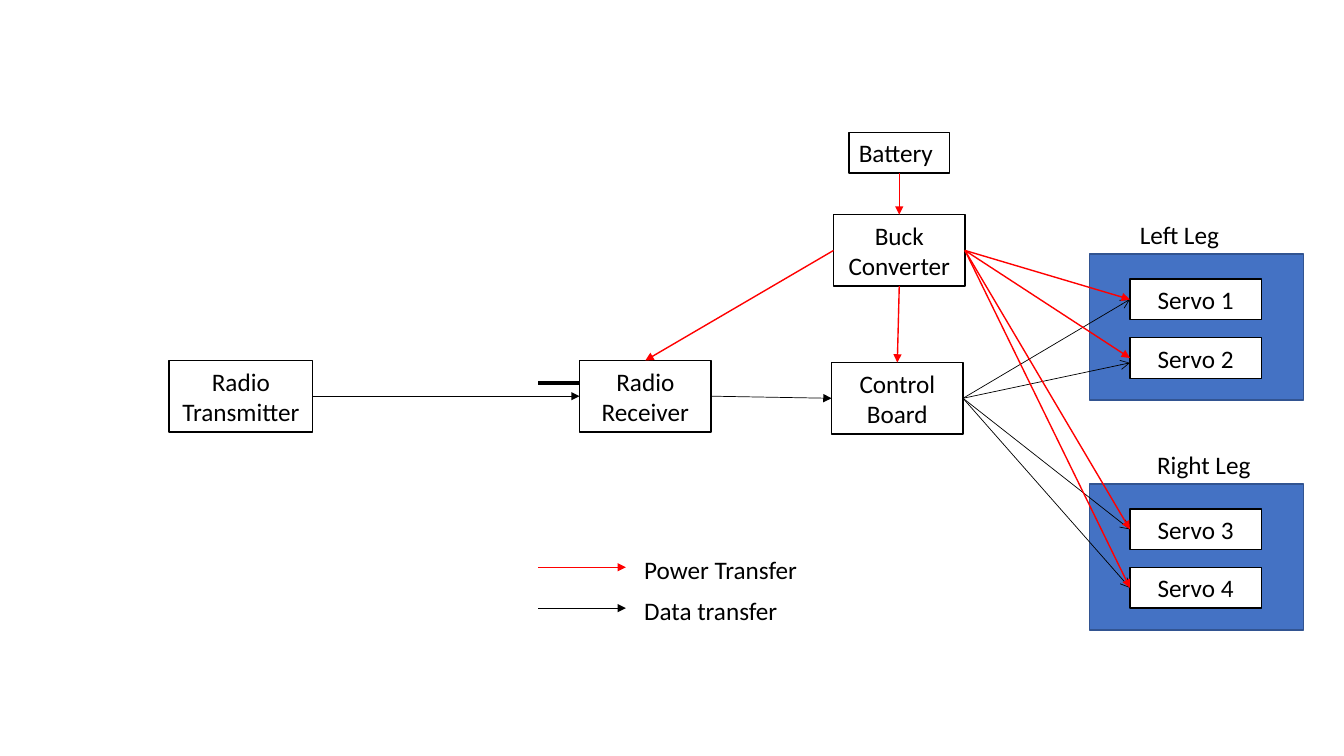
from lxml import etree
from pptx import Presentation
from pptx.dml.color import RGBColor
from pptx.enum.shapes import MSO_CONNECTOR, MSO_SHAPE
from pptx.enum.text import MSO_ANCHOR, PP_ALIGN
from pptx.oxml.ns import qn
from pptx.util import Pt

RECTANGLE = MSO_SHAPE.RECTANGLE
STRAIGHT = MSO_CONNECTOR.STRAIGHT
LEFT_ALIGN, CENTER = PP_ALIGN.LEFT, PP_ALIGN.CENTER
MIDDLE = MSO_ANCHOR.MIDDLE

BLACK = RGBColor(0x00, 0x00, 0x00)
WHITE = RGBColor(0xFF, 0xFF, 0xFF)
RED = RGBColor(0xFF, 0x00, 0x00)
LEG_BLUE = RGBColor(0x44, 0x72, 0xC4)
LEG_BORDER = RGBColor(0x32, 0x54, 0x91)

# Connection sites of a rectangle
TOP, LEFT, BOTTOM, RIGHT = range(4)

prs = Presentation()
prs.slide_width, prs.slide_height = Pt(960), Pt(540)
slide = prs.slides.add_slide(prs.slide_layouts[6])
shapes = slide.shapes


def write(shape, text, align):
    frame = shape.text_frame
    frame.word_wrap = True
    frame.vertical_anchor = MIDDLE
    paragraph = frame.paragraphs[0]
    paragraph.alignment = align
    run = paragraph.add_run()
    run.text = text
    run.font.name, run.font.size = "Calibri", Pt(18)
    run.font.color.rgb = BLACK


def draw_line(x1, y1, x2, y2, color, width, head=None):
    line = shapes.add_connector(STRAIGHT, Pt(x1), Pt(y1), Pt(x2), Pt(y2))
    line.line.color.rgb = color
    line.line.width = Pt(width)
    if head:
        etree.SubElement(line.line._ln, qn("a:tailEnd"), type=head)
    etree.SubElement(line._element.spPr, qn("a:effectLst"))
    return line


# Leg panels
legs = [("Left Leg", 807.1, 181.4), ("Right Leg", 819.4, 345.6)]
for name, label_left, leg_top in legs:
    panel = shapes.add_shape(RECTANGLE, Pt(778.3), Pt(leg_top), Pt(152.8), Pt(104.4))
    panel.shadow.inherit = False
    panel.fill.solid()
    panel.fill.fore_color.rgb = LEG_BLUE
    panel.line.color.rgb = LEG_BORDER
    panel.line.width = Pt(1)

# Components, with two servos in each leg
SERVO_LEFT, SERVO_INSET, SERVO_STEP = 807.1, 18, 41.8
components = [
    ("Battery", 606.35, 94.7, 72, 29, LEFT_ALIGN),
    ("Buck Converter", 595.4, 153.4, 93.9, 51, CENTER),
    ("Radio Receiver", 414, 257.5, 93.9, 51, CENTER),
    ("Control Board", 594, 259, 93.9, 51, CENTER),
    ("Radio Transmitter", 120.7, 257.5, 102.7, 51, CENTER),
]
servos = []
for name, label_left, leg_top in legs:
    for row in range(2):
        servo = f"Servo {len(servos) + 1}"
        servos.append(servo)
        servo_top = leg_top + SERVO_INSET + row * SERVO_STEP
        components.append((servo, SERVO_LEFT, servo_top, 93.9, 29, CENTER))

boxes = {}
for name, left, top, width, height, align in components:
    box = shapes.add_shape(RECTANGLE, Pt(left), Pt(top), Pt(width), Pt(height))
    box.shadow.inherit = False
    box.fill.solid()
    box.fill.fore_color.rgb = WHITE
    box.line.color.rgb = BLACK
    box.line.width = Pt(1)
    write(box, name, align)
    boxes[name] = box

# Receiver antenna
draw_line(384.5, 273.6, 414, 273.6, BLACK, 3)

# Leg labels and legend texts
labels = [(name, left, top - 28.3, 107.3) for name, left, top in legs]
labels += [("Power Transfer", 453, 392.4, 133.2), ("Data transfer", 453, 421.7, 133.2)]
for text, left, top, width in labels:
    label = shapes.add_textbox(Pt(left), Pt(top), Pt(width), Pt(29))
    write(label, text, LEFT_ALIGN)

# Data and power arrows between components
links = [("Control Board", RIGHT, servo, LEFT, BLACK, 0.5, "arrow") for servo in servos]
links += [
    ("Battery", BOTTOM, "Buck Converter", TOP, RED, 0.5, "triangle"),
    ("Buck Converter", BOTTOM, "Control Board", TOP, RED, 1, "triangle"),
]
links += [("Buck Converter", RIGHT, servo, LEFT, RED, 1, "triangle") for servo in servos]
links += [
    ("Buck Converter", LEFT, "Radio Receiver", TOP, RED, 1, "triangle"),
    ("Radio Receiver", RIGHT, "Control Board", LEFT, BLACK, 0.5, "triangle"),
    ("Radio Transmitter", RIGHT, "Radio Receiver", LEFT, BLACK, 0.5, "triangle"),
]
for source, source_site, target, target_site, color, width, head in links:
    # This data arrow ends just below the middle of its servo
    end_y = 259.2 if (source, target) == ("Control Board", "Servo 2") else None
    link = draw_line(0, 0, SERVO_LEFT, end_y or 0, color, width, head)
    link.begin_connect(boxes[source], source_site)
    if end_y is None:
        link.end_connect(boxes[target], target_site)

# Legend arrows
for y, color in [(405.2, RED), (434.4, BLACK)]:
    draw_line(384.5, y, 447.1, y, color, 0.5, "triangle")

prs.save("out.pptx")
